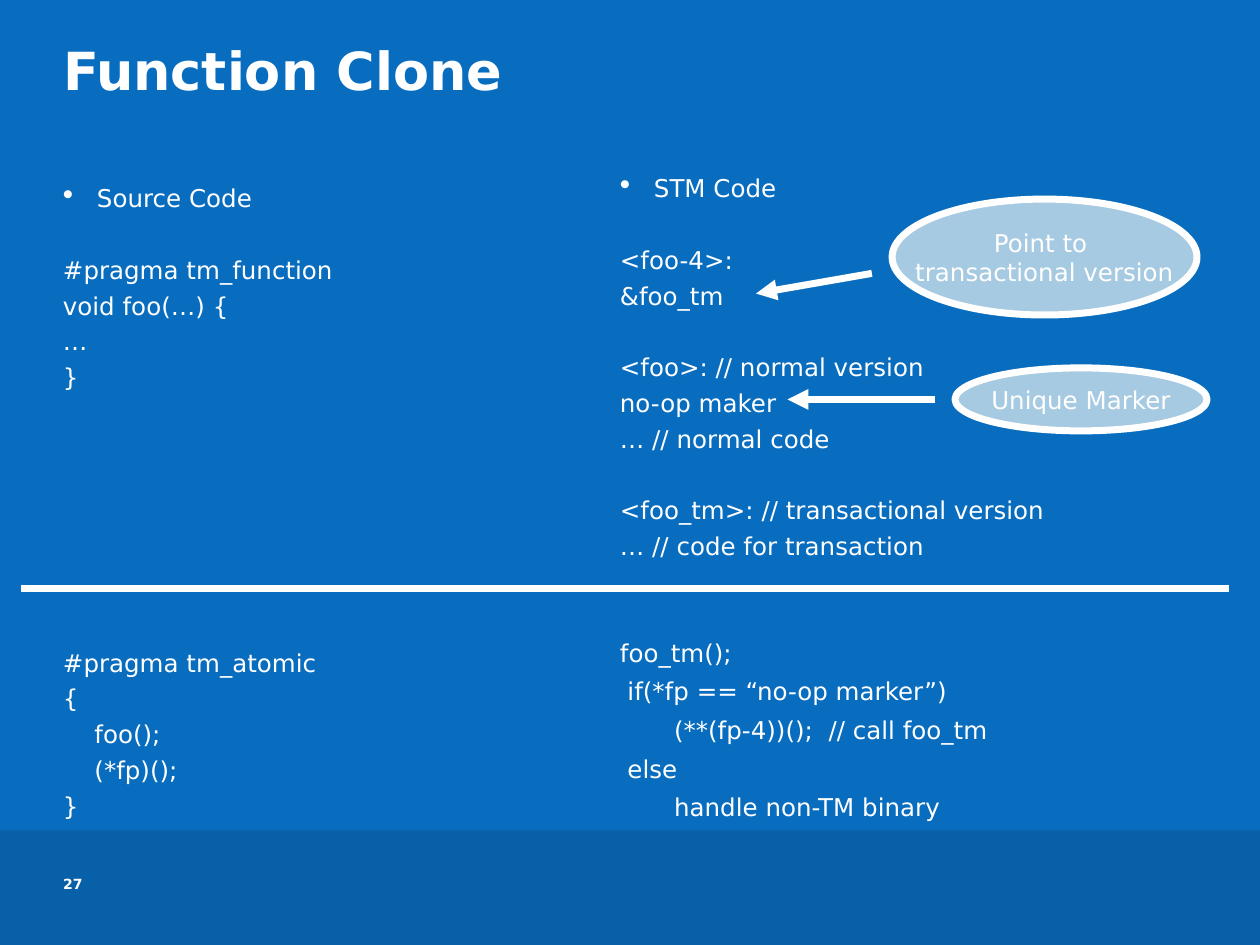
"""Build the Function Clone slide comparing source code with STM code."""
from dataclasses import dataclass

from lxml.etree import SubElement
from pptx import Presentation
from pptx.dml.color import RGBColor
from pptx.enum.shapes import MSO_CONNECTOR, MSO_SHAPE
from pptx.enum.text import MSO_ANCHOR, PP_ALIGN
from pptx.oxml.ns import qn
from pptx.util import Inches, Pt

FONT = "DejaVu Sans"
WHITE = RGBColor(0xFF, 0xFF, 0xFF)
BLUE = RGBColor(0x09, 0x6D, 0xBF)
DARK_BLUE = RGBColor(0x08, 0x60, 0xA8)
PALE_BLUE = RGBColor(0xA6, 0xCA, 0xE1)
LINE_GAP = 7
LINE_PITCH = 20.4
HANGING = 0.27
BORDER = Pt(4)


@dataclass
class CodeLine:
    text: str
    skipped: int = 0
    indent: float = 0
    spacing: float = 0.8
    bullet: bool = False


@dataclass
class Column:
    left: float
    top: float
    width: float
    height: float
    lines: list[CodeLine]


@dataclass
class Callout:
    left: float
    top: float
    width: float
    height: float
    text: str


@dataclass
class Line:
    start: tuple[float, float]
    end: tuple[float, float]
    arrow: bool = True


COLUMNS = [
    Column(0.5, 1.5, 3.84, 5.33, [
        CodeLine("Source Code", bullet=True),
        CodeLine("#pragma tm_function", skipped=1),
        CodeLine("void foo(…) {"),
        CodeLine("…"),
        CodeLine("}"),
        CodeLine("#pragma tm_atomic", skipped=7),
        CodeLine("{"),
        CodeLine("foo();", indent=0.25),
        CodeLine("(*fp)();", indent=0.25),
        CodeLine("}"),
    ]),
    Column(4.92, 1.42, 4.59, 5.42, [
        CodeLine("STM Code", bullet=True),
        CodeLine("<foo-4>:", skipped=1),
        CodeLine("&foo_tm"),
        CodeLine("<foo>: // normal version", skipped=1),
        CodeLine("no-op maker"),
        CodeLine("… // normal code"),
        CodeLine("<foo_tm>: // transactional version", skipped=1),
        CodeLine("… // code for transaction"),
        CodeLine("foo_tm();", skipped=2),
        CodeLine("if(*fp == “no-op marker”)", indent=0.06, spacing=0.9),
        CodeLine("(**(fp-4))();  // call foo_tm", indent=0.43, spacing=0.9),
        CodeLine("else", indent=0.06, spacing=0.9),
        CodeLine("handle non-TM binary", indent=0.43, spacing=0.9),
    ]),
]
CALLOUTS = [
    Callout(7.08, 1.58, 2.42, 0.92, "Point to \ntransactional version"),
    Callout(7.58, 2.92, 2, 0.5, "Unique Marker"),
]
LINES = [
    Line((6.92, 2.17), (6, 2.33)),
    Line((7.42, 3.17), (6.25, 3.17)),
    Line((0.17, 4.67), (9.75, 4.67), arrow=False),
]


def format_runs(tf, size: float, bold: bool = False) -> None:
    for p in tf.paragraphs:
        for r in p.runs:
            r.font.name = FONT
            r.font.size = Pt(size)
            r.font.bold = bold
            r.font.color.rgb = WHITE


def add_text_frame(s, left: float, top: float, width: float, height: float):
    tf = s.shapes.add_textbox(Inches(left), Inches(top), Inches(width), Inches(height)).text_frame
    tf.word_wrap = True
    tf.margin_left = tf.margin_right = tf.margin_top = tf.margin_bottom = 0
    return tf


def add_label(s, left: float, top: float, width: float, height: float, text: str, size: float) -> None:
    tf = add_text_frame(s, left, top, width, height)
    tf.text = text
    format_runs(tf, size, bold=True)


def set_indent(p, margin: float, first: float) -> None:
    pPr = p._p.get_or_add_pPr()
    pPr.set("marL", str(Inches(margin)))
    pPr.set("indent", str(Inches(first)))


def add_bullet(p) -> None:
    set_indent(p, HANGING, -HANGING)
    pPr = p._p.get_or_add_pPr()
    color = SubElement(pPr, qn("a:buClr"))
    SubElement(color, qn("a:srgbClr"), val=str(WHITE))
    SubElement(pPr, qn("a:buSzPct"), val="125000")
    SubElement(pPr, qn("a:buChar"), char="•")


def add_column(s, column: Column) -> None:
    tf = add_text_frame(s, column.left, column.top, column.width, column.height)
    tf.text = "\n".join(line.text for line in column.lines)
    for p, line in zip(tf.paragraphs, column.lines):
        p.line_spacing = line.spacing
        p.space_before = Pt(LINE_GAP + line.skipped * LINE_PITCH)
        if line.bullet:
            add_bullet(p)
        else:
            set_indent(p, line.indent, 0)
    format_runs(tf, 14)


def add_filled_shape(s, kind: MSO_SHAPE, left: float, top: float, width: float, height: float,
                     color: RGBColor):
    sp = s.shapes.add_shape(kind, Inches(left), Inches(top), Inches(width), Inches(height))
    sp.shadow.inherit = False
    sp.fill.solid()
    sp.fill.fore_color.rgb = color
    sp.line.fill.background()
    return sp


def add_callout(s, callout: Callout) -> None:
    sp = add_filled_shape(s, MSO_SHAPE.OVAL, callout.left, callout.top,
                          callout.width, callout.height, PALE_BLUE)
    sp.line.color.rgb = WHITE
    sp.line.width = BORDER
    tf = sp.text_frame
    tf.word_wrap = False
    tf.vertical_anchor = MSO_ANCHOR.MIDDLE
    tf.text = callout.text
    for p in tf.paragraphs:
        p.alignment = PP_ALIGN.CENTER
    format_runs(tf, 14)


def add_line(s, line: Line) -> None:
    points = [Inches(value) for value in line.start + line.end]
    cxn = s.shapes.add_connector(MSO_CONNECTOR.STRAIGHT, *points)
    cxn.line.color.rgb = WHITE
    cxn.line.width = BORDER
    if line.arrow:
        SubElement(cxn.line._get_or_add_ln(), qn("a:tailEnd"), type="triangle")
    SubElement(cxn._element.spPr, qn("a:effectLst"))


def main() -> None:
    prs = Presentation()
    prs.slide_width, prs.slide_height = Inches(10), Inches(7.5)
    s = prs.slides.add_slide(prs.slide_layouts[6])
    s.background.fill.solid()
    s.background.fill.fore_color.rgb = BLUE
    add_filled_shape(s, MSO_SHAPE.RECTANGLE, 0, 6.59, 10, 0.91, DARK_BLUE)
    add_label(s, 0.5, 0.3, 9.01, 0.97, "Function Clone", 30)
    for column in COLUMNS:
        add_column(s, column)
    for callout in CALLOUTS:
        add_callout(s, callout)
    for line in LINES:
        add_line(s, line)
    add_label(s, 0.5, 6.95, 0.45, 0.33, "27", 8)
    prs.save("out.pptx")


if __name__ == "__main__":
    main()
